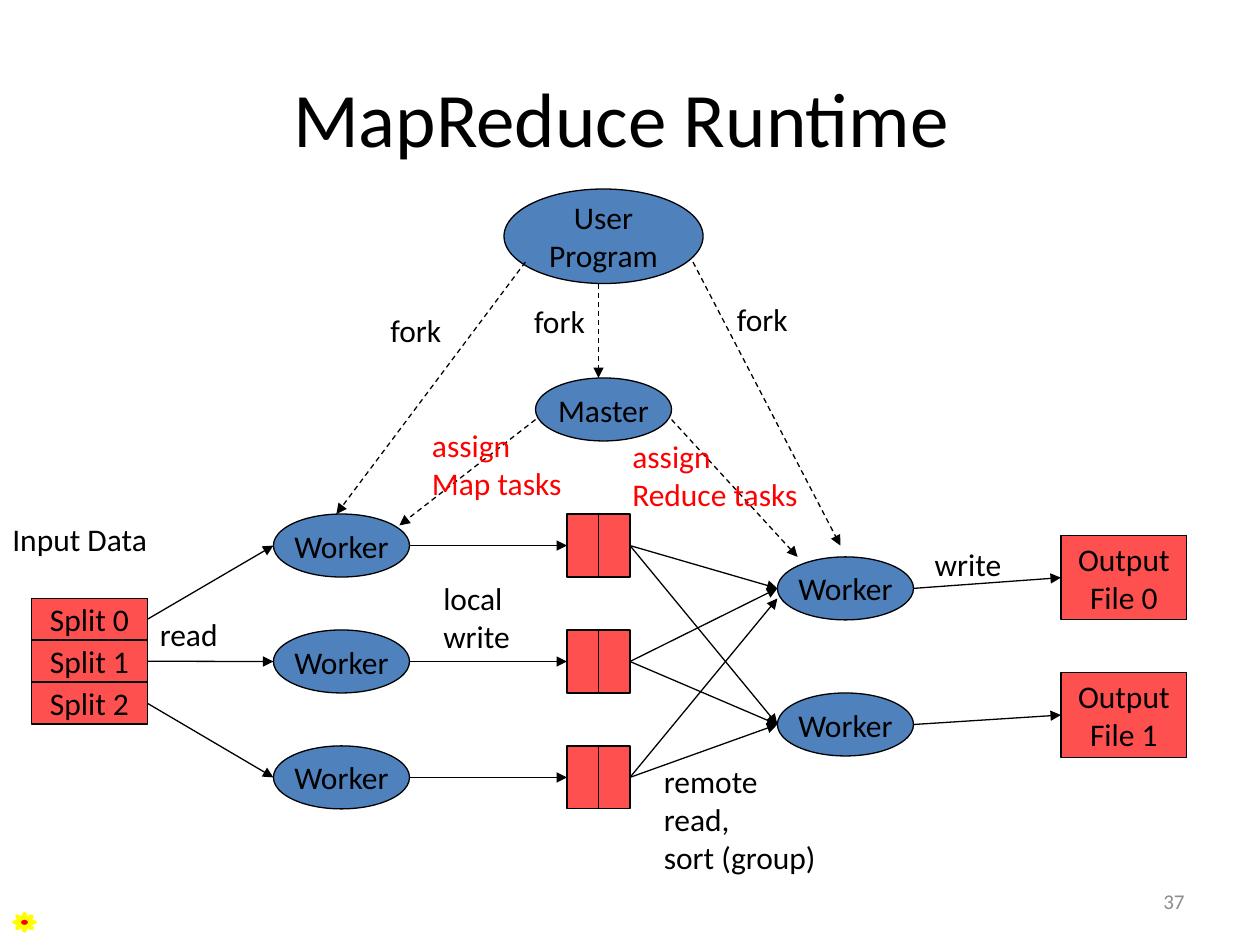
"""Build the MapReduce runtime diagram slide."""
import pptx
import pptx.dml.color
import pptx.enum.dml
import pptx.enum.shapes
import pptx.enum.text
import pptx.oxml
import pptx.oxml.ns
import pptx.util

Inches = pptx.util.Inches
Pt = pptx.util.Pt
SHAPE = pptx.enum.shapes.MSO_SHAPE
ALIGN = pptx.enum.text.PP_ALIGN
ANCHOR = pptx.enum.text.MSO_ANCHOR
BLACK, RED, BLUE, CORAL = "000000", "FF0000", "4F81BD", "FF5050"


def paint(fmt, color):
    if hasattr(fmt, "solid"):
        fmt.solid()
        fmt = fmt.fore_color
    else:
        fmt = fmt.color
    fmt.rgb = pptx.dml.color.RGBColor.from_string(color)


def write(tf, text, size=18, color=BLACK, align=ALIGN.LEFT):
    tf.text = text
    tf.word_wrap = False
    for p in tf.paragraphs:
        p.alignment = align
        p.font.name = "Calibri"
        p.font.size = Pt(size)
        paint(p.font, color)


prs = pptx.Presentation()
prs.slide_width, prs.slide_height = Inches(10), Inches(7.5)
s = prs.slides.add_slide(prs.slide_layouts[5])

title = s.shapes.title
title.left, title.top = Inches(0.5), Inches(0.3)
title.width, title.height = Inches(9), Inches(1.25)
write(title.text_frame, "MapReduce Runtime ", 44, align=ALIGN.CENTER)
title.text_frame.word_wrap = True
title.text_frame.vertical_anchor = ANCHOR.MIDDLE

map_ys = [4.33, 5.25, 6.17]
reduce_ys = [4.67, 5.75]
split_ys = [4.92, 5.25, 5.58]

nodes = [
    ("user", SHAPE.OVAL, 4, 1.5, 1.58, 0.75, BLUE, "User\nProgram"),
    ("master", SHAPE.OVAL, 4.25, 3, 1.08, 0.5, BLUE, "Master"),
]
for i, y in enumerate(map_ys):
    nodes += [
        (f"map{i}", SHAPE.OVAL, 2.17, y - 0.25, 1.08, 0.5, BLUE, "Worker"),
        (f"left{i}", SHAPE.RECTANGLE, 4.5, y - 0.25, 0.25, 0.5, CORAL, ""),
        (f"right{i}", SHAPE.RECTANGLE, 4.75, y - 0.25, 0.25, 0.5, CORAL, ""),
        (f"split{i}", SHAPE.RECTANGLE, 0.25, 4.75 + i / 3, 0.92, 0.33, CORAL, f"Split {i}"),
    ]
for i, y in enumerate(reduce_ys):
    nodes += [
        (f"reduce{i}", SHAPE.OVAL, 6.17, y - 0.25, 1.08, 0.5, BLUE, "Worker"),
        (f"file{i}", SHAPE.RECTANGLE, 8.42, y - 0.42 + i * 0.01, 1, 0.67, CORAL, f"Output\nFile {i}"),
    ]
nodes.append(("sun", SHAPE.SUN, 0.11, 7.25, 0.17, 0.14, RED, ""))

shapes = {}
for name, kind, x, y, w, h, fill, text in nodes:
    sp = s.shapes.add_shape(kind, Inches(x), Inches(y), Inches(w), Inches(h))
    sp.shadow.inherit = False
    paint(sp.fill, fill)
    paint(sp.line, BLACK)
    sp.line.width = Pt(0.75)
    if text:
        write(sp.text_frame, text, align=ALIGN.CENTER)
        sp.text_frame.vertical_anchor = ANCHOR.MIDDLE
    shapes[name] = sp
paint(shapes["sun"].line, "FFFF00")
shapes["sun"].line.width = Pt(2)

arrows = [
    (4.75, 2.25, 4.75, 3, True, None, None),
    (4.17, 2.08, 2.67, 4.08, True, None, None),
    (5.5, 2.08, 6.67, 4.33, True, None, None),
    (4.25, 3.33, 3.17, 4.17, True, None, None),
    (5.33, 3.33, 6.33, 4.42, True, None, None),
]
for i, y in enumerate(map_ys):
    arrows.append((1.17, split_ys[i], 2.17, y, False, f"split{i}", None))
    arrows.append((3.25, y, 4.5, y, False, None, f"left{i}"))
    for j, target in enumerate(reduce_ys):
        end_y = 4.75 if (i, j) == (2, 0) else target
        arrows.append((5, y, 6.17, end_y, False, f"right{i}", None))
for i, y in enumerate(reduce_ys):
    arrows.append((7.25, y, 8.42, y, False, None, f"file{i}"))

for x1, y1, x2, y2, dashed, source, target in arrows:
    c = s.shapes.add_connector(pptx.enum.shapes.MSO_CONNECTOR.STRAIGHT,
                               Inches(x1), Inches(y1), Inches(x2), Inches(y2))
    if source:
        c.begin_connect(shapes[source], 3)
    if target:
        c.end_connect(shapes[target], 1)
    paint(c.line, BLACK)
    c.line.width = Pt(0.75)
    if dashed:
        c.line.dash_style = pptx.enum.dml.MSO_LINE.DASH
    ln = c.line._get_or_add_ln()
    ln.append(pptx.oxml.parse_xml(
        f'<a:tailEnd {pptx.oxml.ns.nsdecls("a")} type="triangle"/>'))
    c._element.spPr.append(pptx.oxml.parse_xml(
        f'<a:effectLst {pptx.oxml.ns.nsdecls("a")}/>'))

labels = [
    (3, 2.42, 0.69, 0.4, "fork", BLACK),
    (4.14, 2.35, 0.69, 0.4, "fork", BLACK),
    (5.75, 2.33, 0.69, 0.4, "fork", BLACK),
    (3.33, 3.33, 1.24, 0.71, "assign\nMap tasks", RED),
    (4.92, 3.42, 1.53, 0.71, "assign\nReduce tasks", RED),
    (1.17, 4.83, 0.76, 0.4, "read", BLACK),
    (3.42, 4.55, 0.83, 0.7, "local\nwrite", BLACK),
    (5.17, 6, 1.42, 1.01, "remote\nread,\nsort (group)", BLACK),
    (7.32, 4.28, 0.83, 0.4, "write", BLACK),
    (0, 4.08, 1.56, 0.4, "Input Data", BLACK),
]
for x, y, w, h, text, color in labels:
    tb = s.shapes.add_textbox(Inches(x), Inches(y), Inches(w), Inches(h))
    write(tb.text_frame, text, color=color)
    tb.text_frame.auto_size = pptx.enum.text.MSO_AUTO_SIZE.SHAPE_TO_FIT_TEXT

number = s.shapes.add_textbox(Inches(7.17), Inches(6.95), Inches(2.33), Inches(0.4))
write(number.text_frame, "37", 12, "8C8C8C", ALIGN.RIGHT)
number.text_frame.word_wrap = True
number.text_frame.vertical_anchor = ANCHOR.MIDDLE

prs.save("out.pptx")
